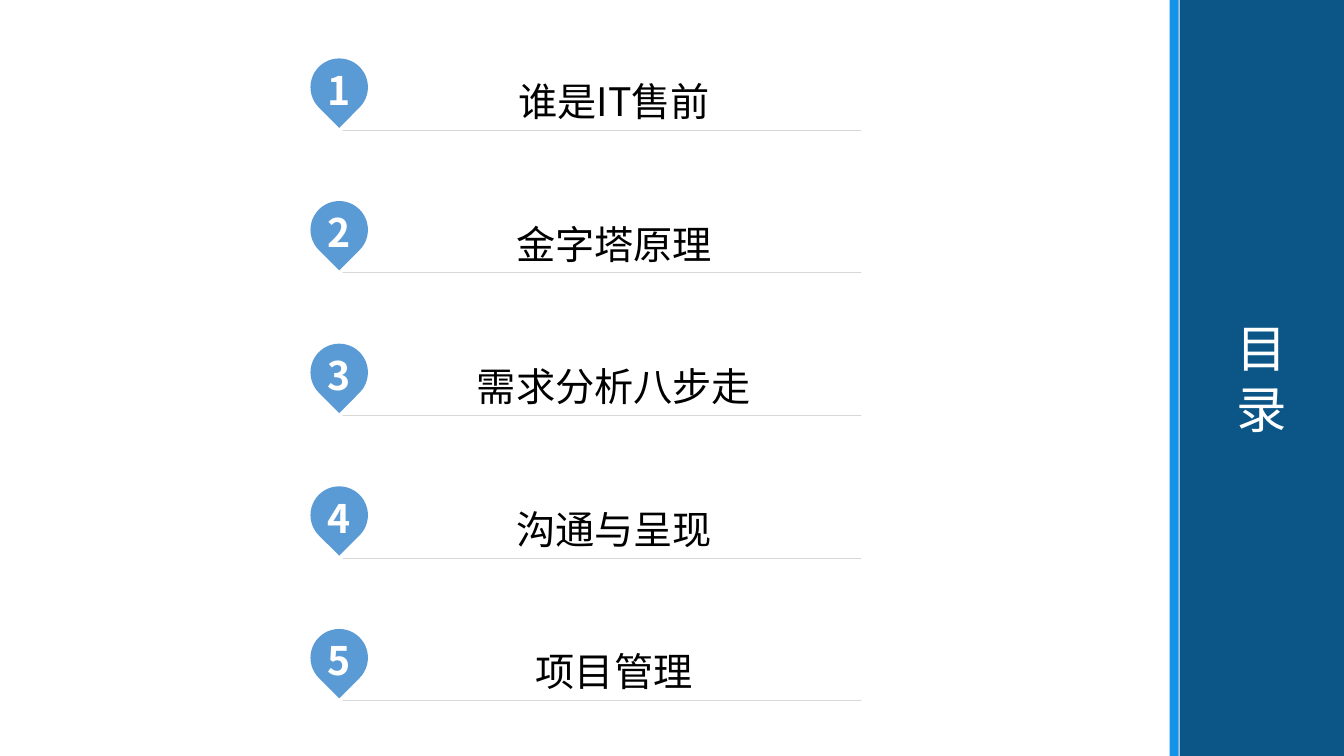
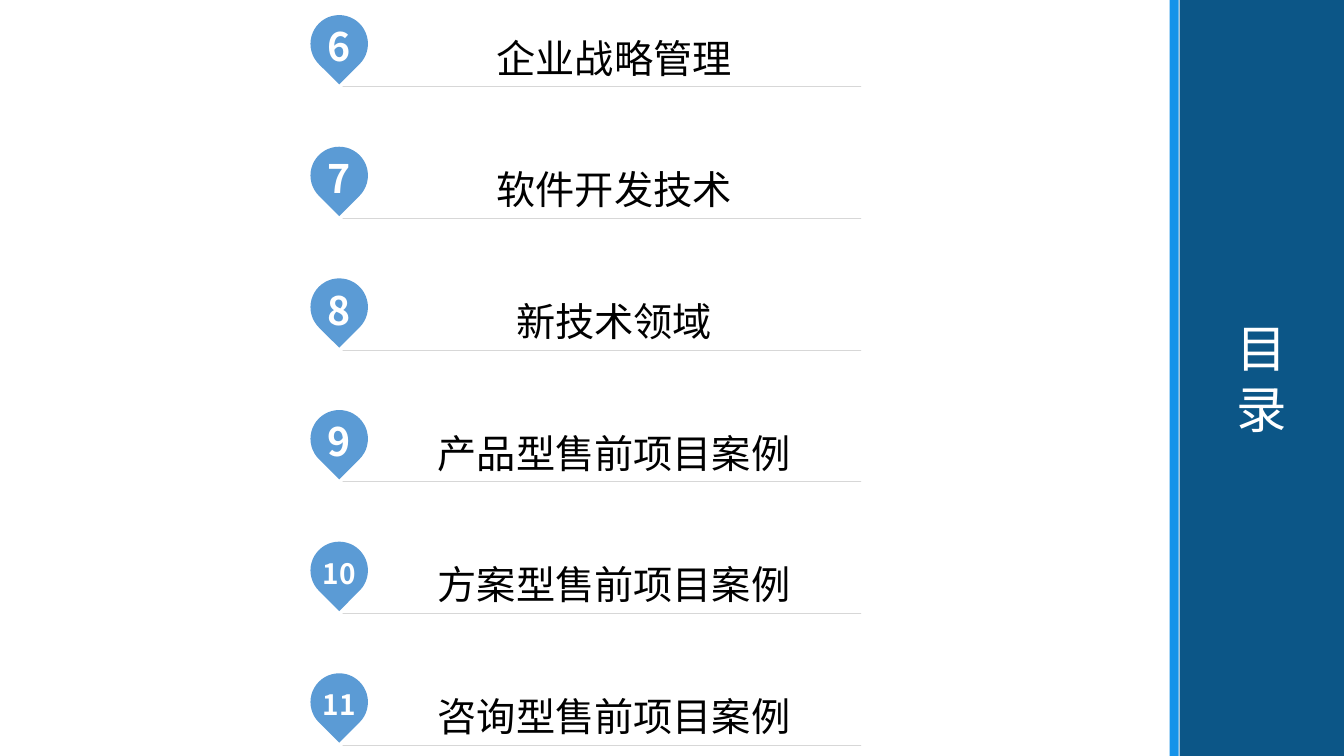
from collections import namedtuple
from math import sqrt

from lxml.etree import SubElement
from pptx import Presentation
from pptx.dml.color import RGBColor
from pptx.enum.shapes import MSO_SHAPE as Shape
from pptx.enum.text import MSO_ANCHOR as Anchor, MSO_AUTO_SIZE as AutoSize, PP_ALIGN as Align
from pptx.oxml.ns import qn
from pptx.util import Inches, Pt

Box = namedtuple("Box", "left top width height")
Agenda = namedtuple("Agenda", "first_number top bottom entries")

SLIDE = Box(0, 0, 13.33, 7.5)
FONT = "Noto Sans CJK SC"
NAVY = RGBColor(0x0C, 0x56, 0x87)
BRIGHT_BLUE = RGBColor(0x15, 0x93, 0xE9)
PIN_BLUE = RGBColor(0x5B, 0x9B, 0xD5)
RULE_GREY = RGBColor(0xD7, 0xD7, 0xD7)
WHITE = RGBColor(0xFF, 0xFF, 0xFF)
BLACK = RGBColor(0, 0, 0)

BAND_WIDTH = 1.63
STRIP_WIDTH = 0.09
STRIP_GAP = 0.01
LIST_LEFT = 3.08
LIST_WIDTH = 5.46
ROW_HEIGHT = 0.71
PIN_WIDTH = 0.57
LABEL_INDENT = 0.32
LABEL_HEIGHT = 0.68
DEGREE = 60000
HEAD_ARCS = [(45, -45), (360, -90), (270, -90), (180, -45)]

AGENDAS = [
    Agenda(1, 0.58, 6.95, ["谁是IT售前", "金字塔原理", "需求分析八步走", "沟通与呈现",
                           "项目管理"]),
    Agenda(6, 0.15, 7.39, ["企业战略管理", "软件开发技术", "新技术领域", "产品型售前项目案例",
                           "方案型售前项目案例", "咨询型售前项目案例"]),
]


def emu(lengths):
    """Return lengths given in inches as EMU."""
    return [Inches(length) for length in lengths]


def write(shape, text, size, color, margins, bold=False, spacing=1.0):
    """Fill a shape with centred text in the deck's font."""
    frame = shape.text_frame
    frame.text = text
    frame.auto_size = AutoSize.NONE
    frame.word_wrap = True
    frame.vertical_anchor = Anchor.MIDDLE
    (frame.margin_left, frame.margin_top,
     frame.margin_right, frame.margin_bottom) = emu(margins)
    for paragraph in frame.paragraphs:
        paragraph.alignment = Align.CENTER
        paragraph.line_spacing = spacing
        for run in paragraph.runs:
            run.font.size = Pt(size)
            run.font.bold = bold
            run.font.color.rgb = color
            run.font.name = FONT
            properties = run._r.get_or_add_rPr()
            SubElement(properties, qn("a:ea"), typeface=FONT)


def paint(shape, color):
    """Give a shape a flat fill without outline or shadow."""
    shape.fill.solid()
    shape.fill.fore_color.rgb = color
    shape.line.fill.background()
    shape.shadow.inherit = False


def add_side_band(slide, box):
    """Place the title band in the box and the bright strip beside it."""
    title = slide.shapes.title
    title.left, title.top, title.width, title.height = emu(box)
    title.fill.solid()
    title.fill.fore_color.rgb = NAVY
    write(title, "目\n录", 36, WHITE, (0.1, 0.05, 0.1, 0.05))
    strip_left = box.left - STRIP_GAP - STRIP_WIDTH
    strip = slide.shapes.add_shape(
        Shape.RECTANGLE, *emu(Box(strip_left, box.top, STRIP_WIDTH, box.height)))
    paint(strip, BRIGHT_BLUE)


def round_head(pin, radius):
    """Turn the straight sides around the pin's head into arcs."""
    sides = list(pin._element.iter(qn("a:lnTo")))[1:]
    for side, (start, sweep) in zip(sides, HEAD_ARCS):
        side.tag = qn("a:arcTo")
        for point in list(side):
            side.remove(point)
        side.set("wR", str(radius))
        side.set("hR", str(radius))
        side.set("stAng", str(start % 360 * DEGREE))
        side.set("swAng", str(sweep * DEGREE))


def add_pin(slide, left, top, number):
    """Draw a numbered map pin: a round head that narrows to a tip."""
    radius = PIN_WIDTH / 2
    shoulder = radius / sqrt(2)
    center_x, center_y = left + radius, top + radius
    outline = [(shoulder, shoulder), (radius, 0), (0, -radius),
               (-radius, 0), (-shoulder, shoulder)]
    builder = slide.shapes.build_freeform(*emu((center_x, center_y + radius * sqrt(2))))
    builder.add_line_segments([emu((center_x + x, center_y + y)) for x, y in outline])
    pin = builder.convert_to_shape()
    outline_path = next(pin._element.iter(qn("a:path")))
    round_head(pin, Inches(radius))
    if outline_path.find(qn("a:close")) is None:
        SubElement(outline_path, qn("a:close"))
    paint(pin, PIN_BLUE)
    size = 28 if number < 10 else 20
    write(pin, str(number), size, WHITE, (0.1, 0.05, 0.1, 0.12), bold=True)
    pin.text_frame.word_wrap = False


def add_label(slide, box, text):
    """Write a label in an open outline that shows only its bottom rule."""
    bottom = box.top + box.height
    top_left = emu((box.left, box.top))
    builder = slide.shapes.build_freeform(*emu((box.left, bottom)))
    builder.add_line_segments([emu((box.left + box.width, bottom))])
    builder.move_to(*top_left)
    builder.add_line_segments([top_left])
    label = builder.convert_to_shape()
    label.fill.background()
    label.line.color.rgb = RULE_GREY
    label.line.width = Pt(0.25)
    label.shadow.inherit = False
    write(label, text, 28, BLACK, (0.24, 0, 0, 0.04), spacing=1.3)


def add_agenda(slide, box, first_number, entries):
    """Spread pins and labels evenly from the top to the bottom of the box."""
    pitch = (box.height - ROW_HEIGHT) / (len(entries) - 1)
    for row, text in enumerate(entries):
        top = box.top + row * pitch
        add_pin(slide, box.left, top, first_number + row)
        label_box = Box(box.left + LABEL_INDENT, top + ROW_HEIGHT - LABEL_HEIGHT,
                        box.width - LABEL_INDENT, LABEL_HEIGHT)
        add_label(slide, label_box, text)


def main():
    """Build the agenda slides and save them."""
    presentation = Presentation()
    presentation.slide_width = Inches(SLIDE.width)
    presentation.slide_height = Inches(SLIDE.height)
    title_only = presentation.slide_layouts[5]
    band = Box(SLIDE.width - BAND_WIDTH, 0, BAND_WIDTH, SLIDE.height)
    for agenda in AGENDAS:
        slide = presentation.slides.add_slide(title_only)
        add_side_band(slide, band)
        list_box = Box(LIST_LEFT, agenda.top, LIST_WIDTH, agenda.bottom - agenda.top)
        add_agenda(slide, list_box, agenda.first_number, agenda.entries)
    presentation.save("out.pptx")


if __name__ == "__main__":
    main()
